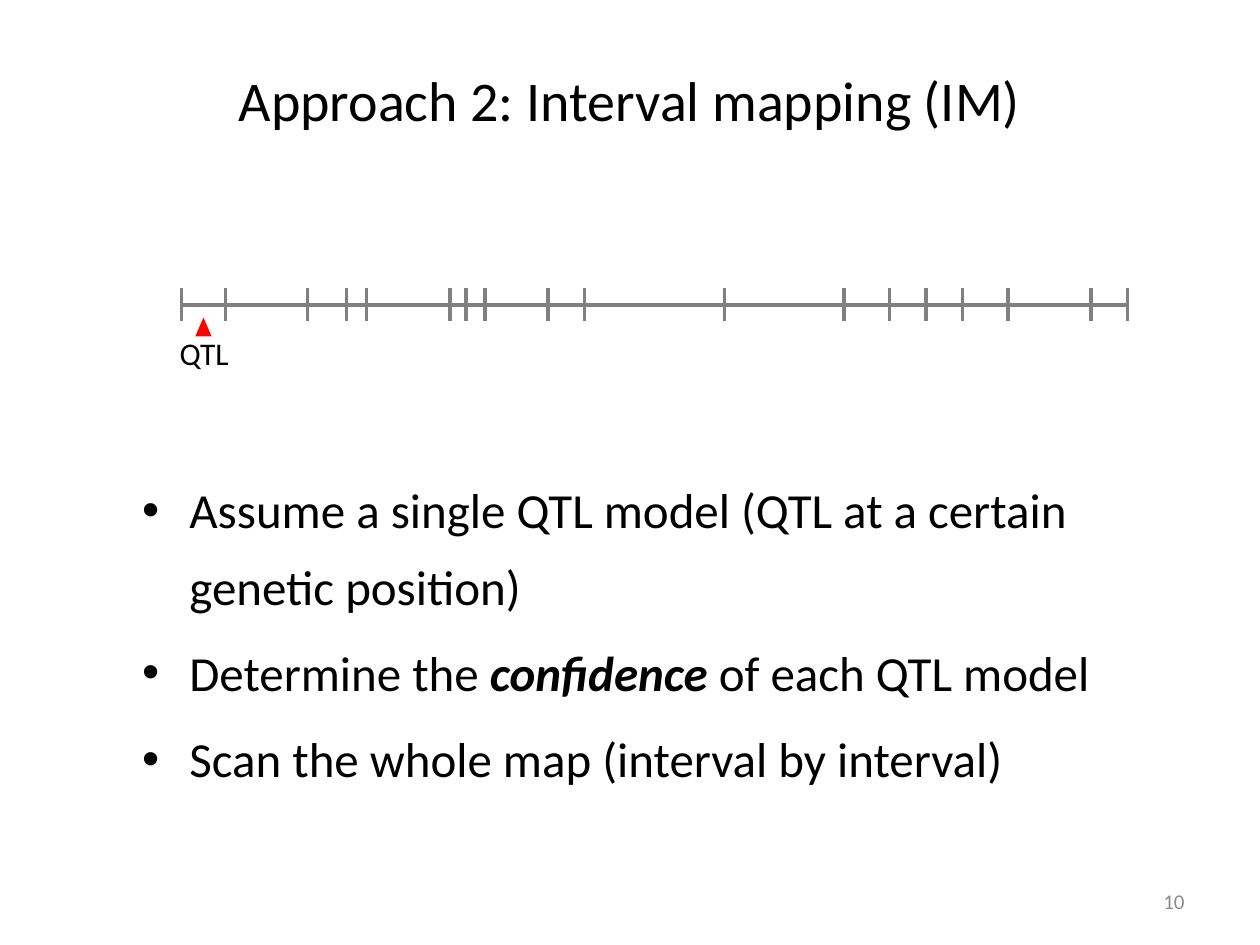
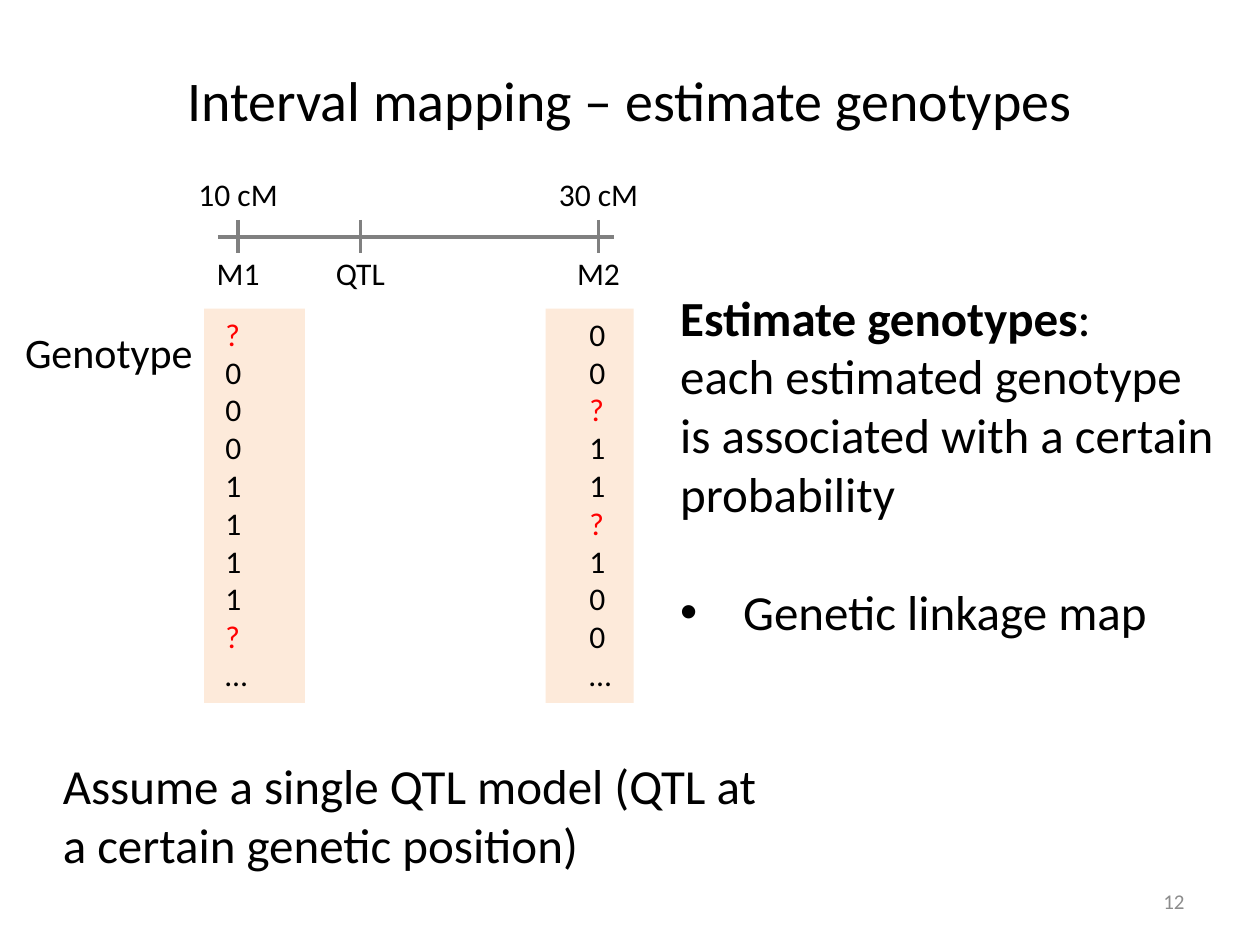
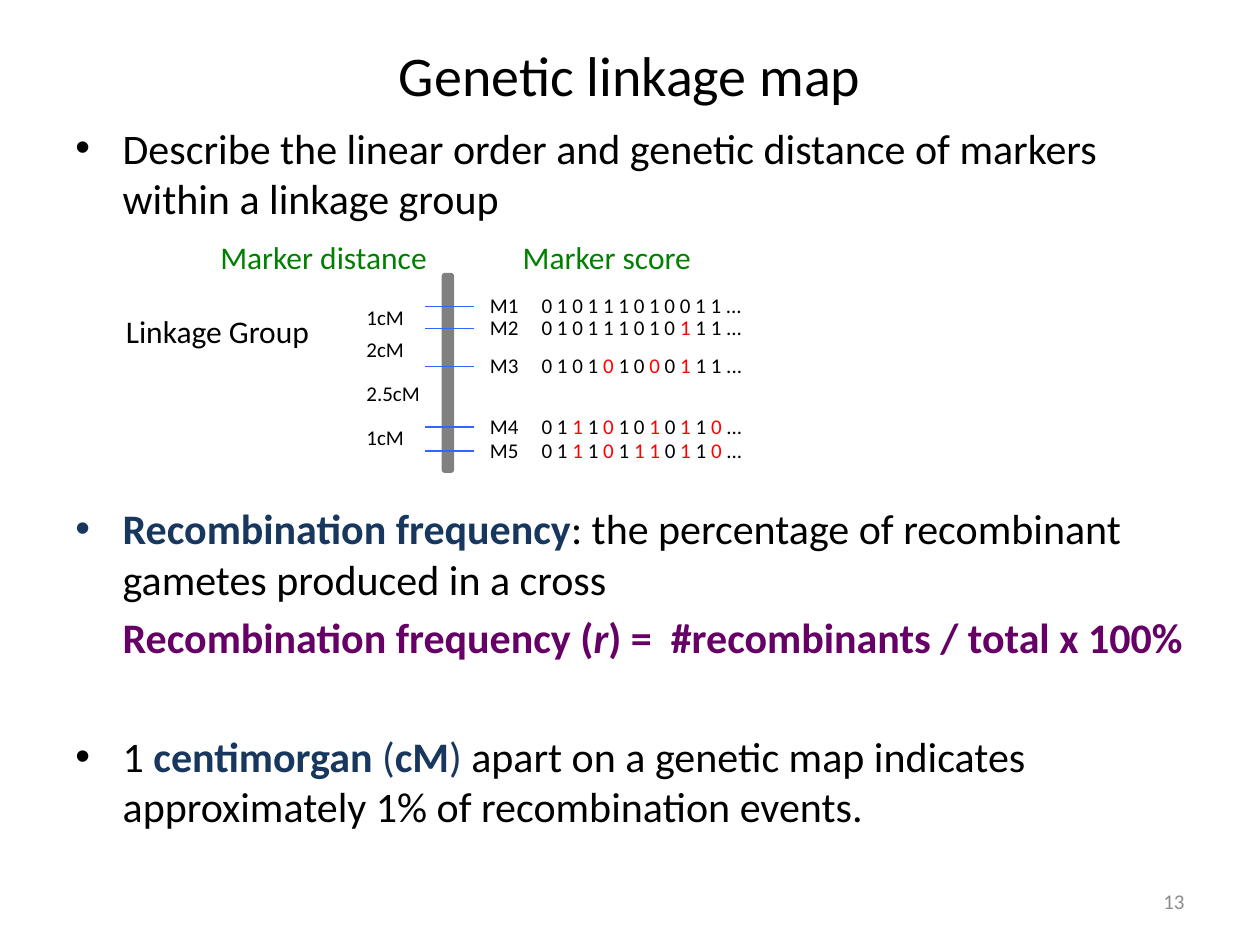
"""Build three slides on interval mapping and genetic linkage maps."""
from lxml import etree
from pptx import Presentation
from pptx import util as u
from pptx.dml.color import RGBColor
from pptx.enum import shapes, text
from pptx.oxml import ns

BLACK = RGBColor(0x00, 0x00, 0x00)
GREY = RGBColor(0x80, 0x80, 0x80)
PALE_GREY = RGBColor(0x8C, 0x8C, 0x8C)
RED = RGBColor(0xFF, 0x00, 0x00)
PEACH = RGBColor(0xFD, 0xEA, 0xDA)
BLUE = RGBColor(0x33, 0x66, 0xFF)
NAVY = RGBColor(0x17, 0x37, 0x5E)
PURPLE = RGBColor(0x66, 0x00, 0x66)
GREEN = RGBColor(0x00, 0x80, 0x00)

FONT = "Calibri"
COLUMNS, ROWS = 100, 75
CELL = u.Inches(0.1)
TITLE_BOX = (5, 3, 90, 9.8)
NUMBER_BOX = (71.7, 69.5, 23.3, 4)
LABEL_WIDTH, LABEL_HEIGHT = 9, 4
HANGING = 3.75

STYLES = {
    "plain": {},
    "strong": {"bold": True},
    "stress": {"bold": True, "italic": True},
    "red": {"color": RED},
    "navy": {"color": NAVY},
    "term": {"color": NAVY, "bold": True},
    "formula": {"color": PURPLE, "bold": True},
    "variable": {"color": PURPLE, "bold": True, "italic": True},
}

CHROMOSOME_TICKS = [14.4, 17.9, 24.4, 27.5, 29.1, 35.7, 37, 38.5, 43.5, 46.4,
                    57.5, 67, 70.6, 73.5, 76.4, 80, 86.6, 89.5]
APPROACH = [
    {"runs": [("Assume a single QTL model (QTL at a certain genetic position)", "plain")]},
    {"runs": [("Determine the ", "plain"), ("confidence", "stress"),
              (" of each QTL model", "plain")], "before": 5.6},
    {"runs": [("Scan the whole map (interval by interval)", "plain")], "before": 5.6},
]

INTERVAL_TICKS = [(18.9, "M1", "10 cM"), (28.6, "QTL", None), (47.5, "M2", "30 cM")]
GENOTYPES = [(16.2, 8, 16.9, "?0001111?…"), (43.3, 7, 45.8, "00?11?100…")]
ASSUMPTION = "Assume a single QTL model (QTL at a certain genetic position)"
ESTIMATE = [
    {"runs": [("Estimate genotypes", "strong"), (":", "plain")]},
    {"runs": [("each estimated genotype is associated with a certain probability", "plain")]},
    {"runs": [("Genetic linkage map", "plain")], "hanging": 5, "before": 34},
]

MARKERS = [
    (24.3, "M1", "0 1 0 1 1 1 0 1 0 0 1 1 ..."),
    (26.1, "M2", "0 1 0 1 1 1 0 1 0 [1] 1 1 ..."),
    (29.1, "M3", "0 1 0 1 [0] 1 0 [0] 0 [1] 1 1 ..."),
    (33.9, "M4", "0 1 [1] 1 [0] 1 0 [1] 0 [1] 1 [0] ..."),
    (35.8, "M5", "0 1 [1] 1 [0] 1 [1 1] 0 [1] 1 [0] ..."),
]
DISTANCES = [(23.7, "1cM"), (26.2, "2cM"), (29.7, "2.5cM"), (33.2, "1cM")]
MAP_LABELS = [(9, 24.3, 16.8, "Linkage Group", BLACK),
              (16.5, 18.4, 18.7, "Marker distance", GREEN),
              (40.5, 18.4, 15.6, "Marker score", GREEN)]
MAP_PURPOSE = "Describe the linear order and genetic distance of markers within a linkage group"
RECOMBINATION = [
    {"runs": [("Recombination frequency", "term"),
              (": the percentage of recombinant gametes produced in a cross", "plain")]},
    {"runs": [("Recombination frequency (", "formula"), ("r", "variable"),
              (") =  #recombinants / total x 100%", "formula")],
     "bullet": False, "before": 4.8},
    {"runs": [("1 ", "plain"), ("centimorgan", "term"), (" (", "navy"), ("cM", "term"),
              (") ", "navy"),
              ("apart on a genetic map indicates approximately 1% of recombination events.",
               "plain")], "before": 39},
]


def cells(*lengths):
    return [round(length * CELL) for length in lengths]


def plain(words):
    return [{"runs": [(words, "plain")]}]


def set_hanging(paragraph, hanging, bullet):
    properties = paragraph._p.get_or_add_pPr()
    indent = cells(hanging)[0]
    properties.set("marL", str(indent))
    properties.set("indent", str(-indent if bullet else 0))
    if bullet:
        etree.SubElement(properties, ns.qn("a:buFont"), typeface="Arial")
        etree.SubElement(properties, ns.qn("a:buChar"), char="•")


def set_tab(paragraph, position):
    stops = etree.SubElement(paragraph._p.get_or_add_pPr(), ns.qn("a:tabLst"))
    etree.SubElement(stops, ns.qn("a:tab"), pos=str(cells(position)[0]), algn="l")


def add_text(slide, box, paragraphs, size, color=BLACK, wrap=True, middle=False,
             hanging=0, tab=0, **layout):
    frame = slide.shapes.add_textbox(*cells(*box)).text_frame
    frame.word_wrap = wrap
    frame.vertical_anchor = text.MSO_ANCHOR.MIDDLE if middle else text.MSO_ANCHOR.TOP
    for index, content in enumerate(paragraphs):
        paragraph = frame.add_paragraph() if index else frame.paragraphs[0]
        indent = content.get("hanging", hanging)
        if indent:
            set_hanging(paragraph, indent, content.get("bullet", True))
        if tab:
            set_tab(paragraph, tab)
        for name, value in layout.items():
            setattr(paragraph, name, value)
        if "before" in content:
            paragraph.space_before = u.Pt(content["before"])
        for words, style in content["runs"]:
            run = paragraph.add_run()
            run.text = words
            values = {"name": FONT, "size": u.Pt(size), **STYLES[style]}
            run.font.color.rgb = values.pop("color", color)
            for name, value in values.items():
                setattr(run.font, name, value)


def add_label(slide, center, top, words):
    box = (center - LABEL_WIDTH / 2, top, LABEL_WIDTH, LABEL_HEIGHT)
    add_text(slide, box, plain(words), 18, alignment=text.PP_ALIGN.CENTER)


def add_line(slide, start, end, color=GREY, width=2):
    line = slide.shapes.add_connector(shapes.MSO_CONNECTOR.STRAIGHT, *cells(*start, *end))
    line.line.color.rgb = color
    line.line.width = u.Pt(width)
    etree.SubElement(line._element.spPr, ns.qn("a:effectLst"))


def add_scale(slide, left, right, middle, ticks):
    add_line(slide, (left, middle), (right, middle))
    for tick in ticks:
        add_line(slide, (tick, middle - 1.35), (tick, middle + 1.3))


def add_filled(slide, kind, box, color):
    shape = slide.shapes.add_shape(kind, *cells(*box))
    shape.shadow.inherit = False
    shape.fill.solid()
    shape.fill.fore_color.rgb = color
    shape.line.fill.background()
    return shape


def add_slide(presentation, title, number, title_box=TITLE_BOX):
    slide = presentation.slides.add_slide(presentation.slide_layouts[6])
    add_text(slide, title_box, plain(title), 32, middle=True, alignment=text.PP_ALIGN.CENTER)
    add_text(slide, NUMBER_BOX, plain(str(number)), 12, PALE_GREY, middle=True,
             alignment=text.PP_ALIGN.RIGHT)
    return slide


def build_approach(presentation):
    slide = add_slide(presentation, "Approach 2: Interval mapping (IM)", 10)
    add_scale(slide, CHROMOSOME_TICKS[0], CHROMOSOME_TICKS[-1], 24.2, CHROMOSOME_TICKS)
    add_filled(slide, shapes.MSO_SHAPE.ISOSCELES_TRIANGLE, (15.5, 25.2, 1.3, 1.5), RED)
    add_label(slide, 16.2, 26, "QTL")
    add_text(slide, (10.3, 36.2, 82.8, 25.9), APPROACH, 28, hanging=HANGING, line_spacing=1.3)


def build_genotypes(presentation):
    slide = add_slide(presentation, "Interval mapping – estimate genotypes", 12)
    add_scale(slide, 17.3, 48.7, 18.8, [tick for tick, _, _ in INTERVAL_TICKS])
    for tick, name, distance in INTERVAL_TICKS:
        add_label(slide, tick, 19.7, name)
        if distance:
            add_label(slide, tick, 13.4, distance)
    for panel_left, panel_width, left, scores in GENOTYPES:
        add_filled(slide, shapes.MSO_SHAPE.RECTANGLE,
                   (panel_left, 24.5, panel_width, 31.3), PEACH)
        column = [{"runs": [(score, "red" if score == "?" else "plain")]} for score in scores]
        add_text(slide, (left, 24.5, 3.8, 31.3), column, 18, wrap=False)
    add_text(slide, (1, 25.4, 15.5, 5), plain("Genotype"), 24, wrap=False)
    add_text(slide, (53, 22.3, 44.9, 29.3), ESTIMATE, 28)
    add_text(slide, (4, 59.5, 59, 10.5), plain(ASSUMPTION), 28)


def build_linkage_map(presentation):
    slide = add_slide(presentation, "Genetic linkage map", 13, (5, 2.2, 90, 7.4))
    add_text(slide, (5, 9.2, 87.1, 8.8), plain(MAP_PURPOSE), 24, hanging=HANGING)
    chromosome = add_filled(slide, shapes.MSO_SHAPE.ROUNDED_RECTANGLE,
                            (35.2, 21.8, 0.7, 15.6), GREY)
    chromosome.line.color.rgb = GREY
    chromosome.line.width = u.Pt(2)
    for row, name, scores in MARKERS:
        add_line(slide, (33.7, row), (37.6, row), BLUE, 0.75)
        pieces = f"{name}\t{scores}".replace("]", "[").split("[")
        runs = [(piece, "red" if index % 2 else "plain") for index, piece in enumerate(pieces)]
        add_text(slide, (37.9, row - 1.6, 22.8, 3), [{"runs": runs}], 12, tab=4.1)
    for top, distance in DISTANCES:
        add_text(slide, (28.1, top, 6.3 if "." in distance else 5, 3), plain(distance), 12,
                 wrap=False)
    for left, top, width, words, color in MAP_LABELS:
        add_text(slide, (left, top, width, LABEL_HEIGHT), plain(words), 18, color, wrap=False)
    add_text(slide, (5, 39.4, 93.5, 29), RECOMBINATION, 24, hanging=HANGING)


def main():
    presentation = Presentation()
    presentation.slide_width, presentation.slide_height = cells(COLUMNS, ROWS)
    for build in (build_approach, build_genotypes, build_linkage_map):
        build(presentation)
    presentation.save("out.pptx")


if __name__ == "__main__":
    main()
